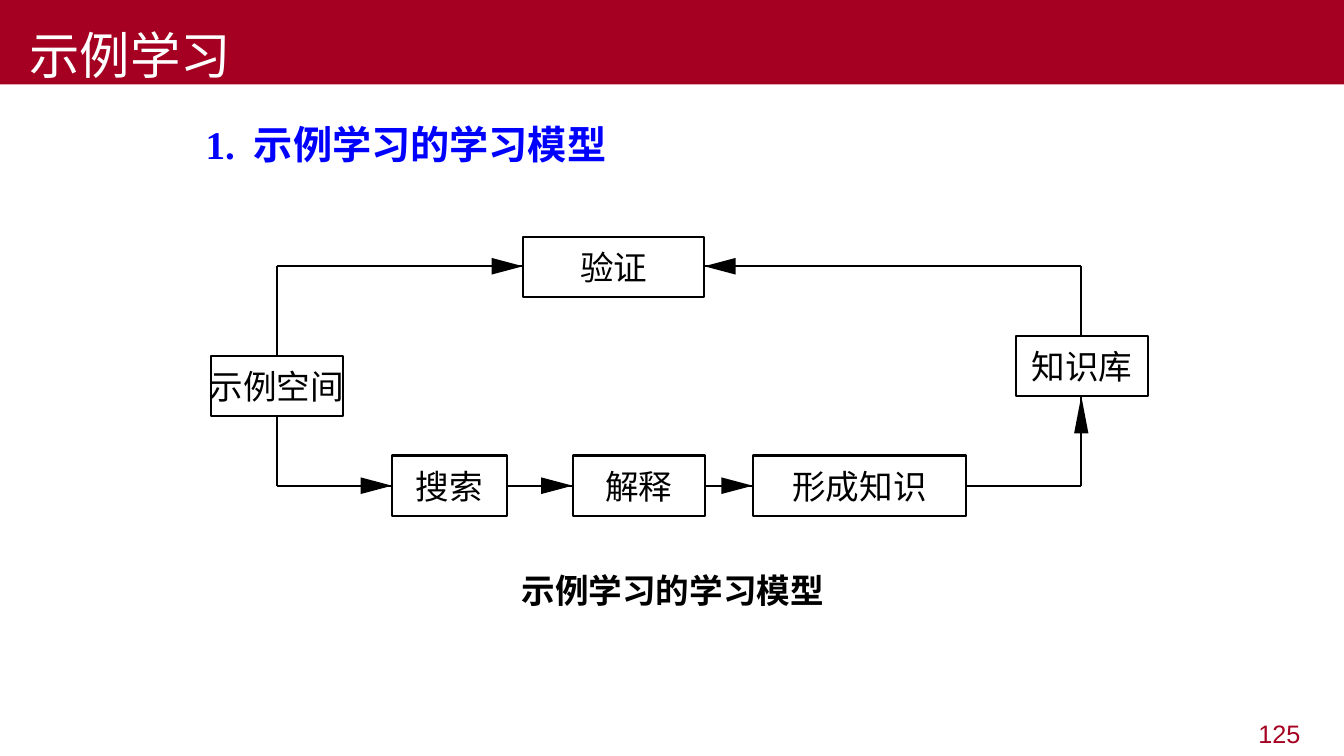
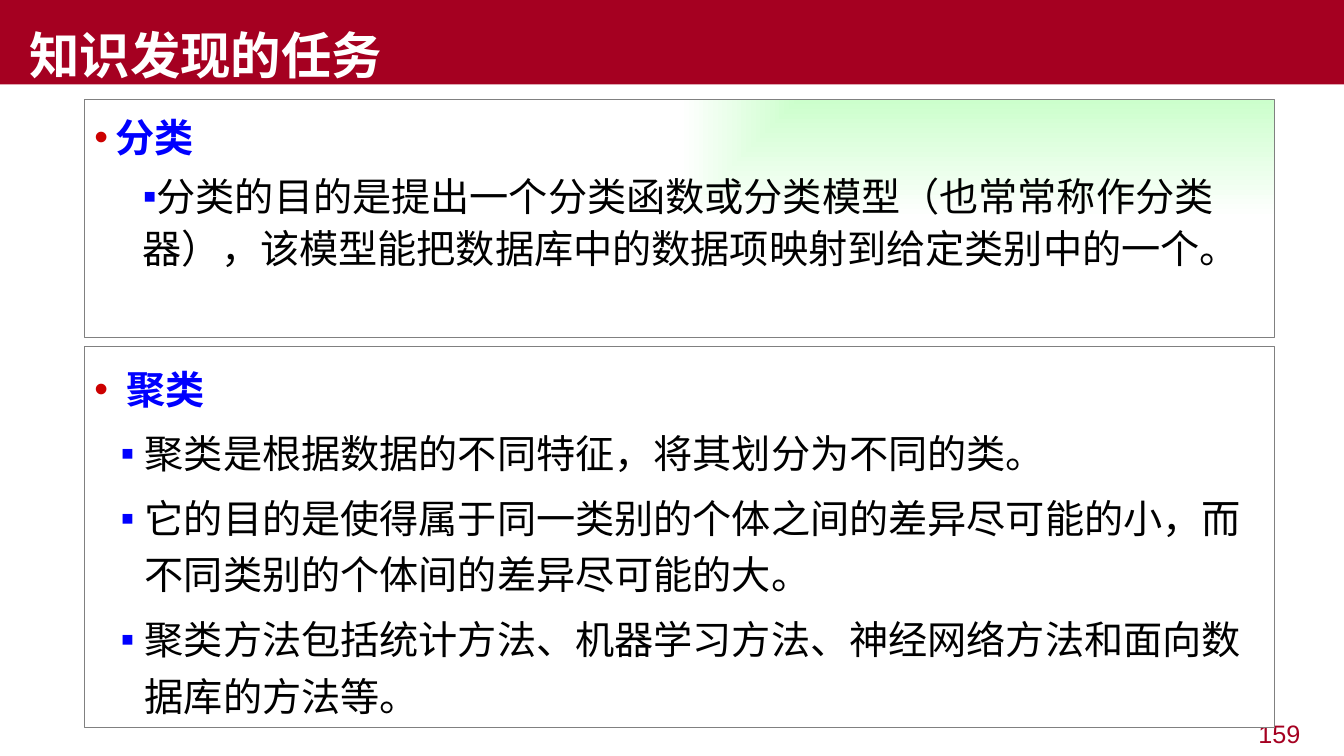
from lxml import etree
from pptx import Presentation
from pptx.dml.color import RGBColor
from pptx.enum.shapes import MSO_CONNECTOR, MSO_SHAPE
from pptx.enum.text import MSO_ANCHOR, MSO_AUTO_SIZE, PP_ALIGN
from pptx.oxml import parse_xml
from pptx.oxml.ns import qn
from pptx.util import Cm, Pt

RECT = MSO_SHAPE.RECTANGLE
LINE = MSO_CONNECTOR.STRAIGHT
TOP, MID, LOW = MSO_ANCHOR.TOP, MSO_ANCHOR.MIDDLE, MSO_ANCHOR.BOTTOM
LEFT, MIDST, RIGHT = PP_ALIGN.LEFT, PP_ALIGN.CENTER, PP_ALIGN.RIGHT
FIXED = MSO_AUTO_SIZE.NONE

HUES = {"band": "A50021", "white": "FFFFFF", "black": "000000", "blue": "0000FF",
        "red": "CC0000", "gray": "808080", "mint": "CCFFCC"}
HUE = {name: RGBColor.from_string(code) for name, code in HUES.items()}
NS = "http://schemas.openxmlformats.org/drawingml/2006/main"
HAN = "Noto Sans CJK SC"
ROMAN = "Times New Roman"


def write(para, text, hue, look, form):
    run = para.add_run()
    run.text = text
    for key, value in look.items():
        setattr(run.font, key, value)
    run.font.color.rgb = HUE[hue]
    etree.SubElement(run._r.get_or_add_rPr(), qn("a:ea")).set("typeface", HAN)
    for key, value in form.items():
        setattr(para, key, value)


def frame(shape, anchor, pads, wrap=True):
    body = shape.text_frame
    sides = ("margin_left", "margin_top", "margin_right", "margin_bottom")
    form = {"auto_size": FIXED, "word_wrap": wrap, "vertical_anchor": anchor}
    form.update(zip(sides, [Cm(pad) for pad in pads]))
    for key, value in form.items():
        setattr(body, key, value)
    return body


deck = Presentation()
deck.slide_width, deck.slide_height = Cm(33.87), Cm(19.05)

pages = []
for name, bold, number in (("示例学习", False, "125"), ("知识发现的任务", True, "159")):
    page = deck.slides.add_slide(deck.slide_layouts[5])
    title = page.shapes.title
    title.left, title.top, title.width, title.height = Cm(0), Cm(0), Cm(33.87), Cm(2.13)
    title.fill.solid()
    title.fill.fore_color.rgb = HUE["band"]
    body = frame(title, LOW, (0.74, 0, 0.25, 0))
    write(body.paragraphs[0], name, "white",
          {"name": ROMAN, "size": Pt(36), "bold": bold}, {"alignment": LEFT})
    box = page.shapes.add_textbox(Cm(25.68), Cm(17.98), Cm(7.34), Cm(1))
    body = frame(box, TOP, (0.25, 0.13, 0.25, 0.13))
    write(body.paragraphs[0], number, "band",
          {"name": "Arial", "size": Pt(18)}, {"alignment": RIGHT})
    pages.append(page)
model, tasks = pages

box = model.shapes.add_textbox(Cm(4.93), Cm(2.57), Cm(24), Cm(1.8))
para = frame(box, TOP, (0.25, 0.22, 0.25, 0.13)).paragraphs[0]
props = para._p.get_or_add_pPr()
props.set("marL", str(Cm(1.22)))
props.set("indent", str(Cm(-1.22)))
write(para, "1.\t示例学习的学习模型", "blue",
      {"name": ROMAN, "size": Pt(28), "bold": True}, {"line_spacing": Pt(40.5)})

ROW, ROOF, WEST, EAST, TALL = 12.24, 6.71, 6.97, 27.25, 1.52
label = {"name": HAN, "size": Pt(24)}
for text, left, mid, wide in (
    ("示例空间", 5.31, 9.73, 3.33),
    ("验证", 13.18, 6.73, 4.57),
    ("搜索", 9.88, ROW, 2.9),
    ("解释", 14.43, ROW, 3.33),
    ("形成知识", 18.97, ROW, 5.38),
    ("知识库", 25.6, 9.22, 3.33),
):
    node = model.shapes.add_shape(RECT, Cm(left), Cm(mid - TALL / 2), Cm(wide), Cm(TALL))
    node.shadow.inherit = False
    node.fill.background()
    node.line.color.rgb = HUE["black"]
    node.line.width = Pt(1.5)
    body = frame(node, MID, (0, 0, 0, 0), False)
    write(body.paragraphs[0], text, "black", label, {"alignment": MIDST})

for route in (
    ((WEST, 8.97), (WEST, ROOF), (13.18, ROOF)),
    ((EAST, 8.46), (EAST, ROOF), (17.75, ROOF)),
    ((WEST, 10.49), (WEST, ROW), (9.88, ROW)),
    ((12.78, ROW), (14.43, ROW)),
    ((17.76, ROW), (18.97, ROW)),
    ((24.35, ROW), (EAST, ROW), (EAST, 9.98)),
):
    for (ax, ay), (bx, by) in zip(route, route[1:]):
        wire = model.shapes.add_connector(LINE, Cm(ax), Cm(ay), Cm(bx), Cm(by))
        wire.line.color.rgb = HUE["black"]
        wire.line.width = Pt(1.5)
        etree.SubElement(wire._element.spPr, qn("a:effectLst"))
    flat = ay == by
    long, half = (0.79, 0.21) if flat else (0.94, 0.18)
    if flat:
        back = bx - long if bx > ax else bx + long
        ends = [(back, by - half), (back, by + half)]
    else:
        ends = [(bx - half, by + long), (bx + half, by + long)]
    pen = model.shapes.build_freeform(Cm(bx), Cm(by))
    pen.add_line_segments([(Cm(x), Cm(y)) for x, y in ends], close=True)
    head = pen.convert_to_shape()
    head.shadow.inherit = False
    head.fill.solid()
    head.fill.fore_color.rgb = HUE["black"]
    head.line.fill.background()

box = model.shapes.add_textbox(Cm(13.08), Cm(14.35), Cm(7.75), Cm(1.02))
body = frame(box, MID, (0, 0, 0, 0), False)
write(body.paragraphs[0], "示例学习的学习模型", "black",
      {**label, "bold": True}, {"alignment": MIDST})

panels = (
    (2.51, 5.99, 37, 0.54, 1.22, 0, "分类", (
        "分类的目的是提出一个分类函数或分类模型（也常常称作分类器），该模型能把数据库中的数据项映射到给定类别中的一个。",)),
    (8.74, 9.6, 40.5, 0.8, 1.27, -0.61, "聚类", (
        "聚类是根据数据的不同特征，将其划分为不同的类。",
        "它的目的是使得属于同一类别的个体之间的差异尽可能的小，而不同类别的个体间的差异尽可能的大。",
        "聚类方法包括统计方法、机器学习方法、神经网络方法和面向数据库的方法等。")),
)
for top, tall, pitch, hang, inset, dent, name, points in panels:
    panel = tasks.shapes.add_shape(RECT, Cm(2.13), Cm(top), Cm(30), Cm(tall))
    panel.shadow.inherit = False
    panel.line.color.rgb = HUE["gray"]
    panel.line.width = Pt(0.75)
    if name == "分类":
        panel._element.spPr.insert(2, parse_xml(
            f'<a:gradFill xmlns:a="{NS}" rotWithShape="1"><a:gsLst>'
            f'<a:gs pos="0"><a:srgbClr val="{HUES["mint"]}"/></a:gs>'
            f'<a:gs pos="100000"><a:srgbClr val="{HUES["white"]}"/></a:gs></a:gsLst>'
            '<a:path path="rect"><a:fillToRect l="100000" b="100000"/></a:path>'
            '</a:gradFill>'))
    else:
        panel.fill.solid()
        panel.fill.fore_color.rgb = HUE["white"]
    body = frame(panel, TOP, (0.25, 0.22, 0.25, 0.13))
    rows = [(name, "•", "red", "blue", hang, -hang, 0)]
    rows += [(point, "▪", "blue", "black", inset, dent, 1) for point in points]
    for text, mark, tint, hue, left, first, level in rows:
        para = body.add_paragraph() if level else body.paragraphs[0]
        props = para._p.get_or_add_pPr()
        props.set("marL", str(Cm(left)))
        props.set("indent", str(Cm(first)))
        color = etree.SubElement(props, qn("a:buClr"))
        etree.SubElement(color, qn("a:srgbClr")).set("val", HUES[tint])
        etree.SubElement(props, qn("a:buFont")).set("typeface", "Arial")
        etree.SubElement(props, qn("a:buChar")).set("char", mark)
        write(para, text, hue, {"name": HAN, "size": Pt(28), "bold": not level},
              {"alignment": LEFT, "level": level, "line_spacing": Pt(pitch),
               "space_before": Pt(5.5 * level)})

deck.save("out.pptx")
